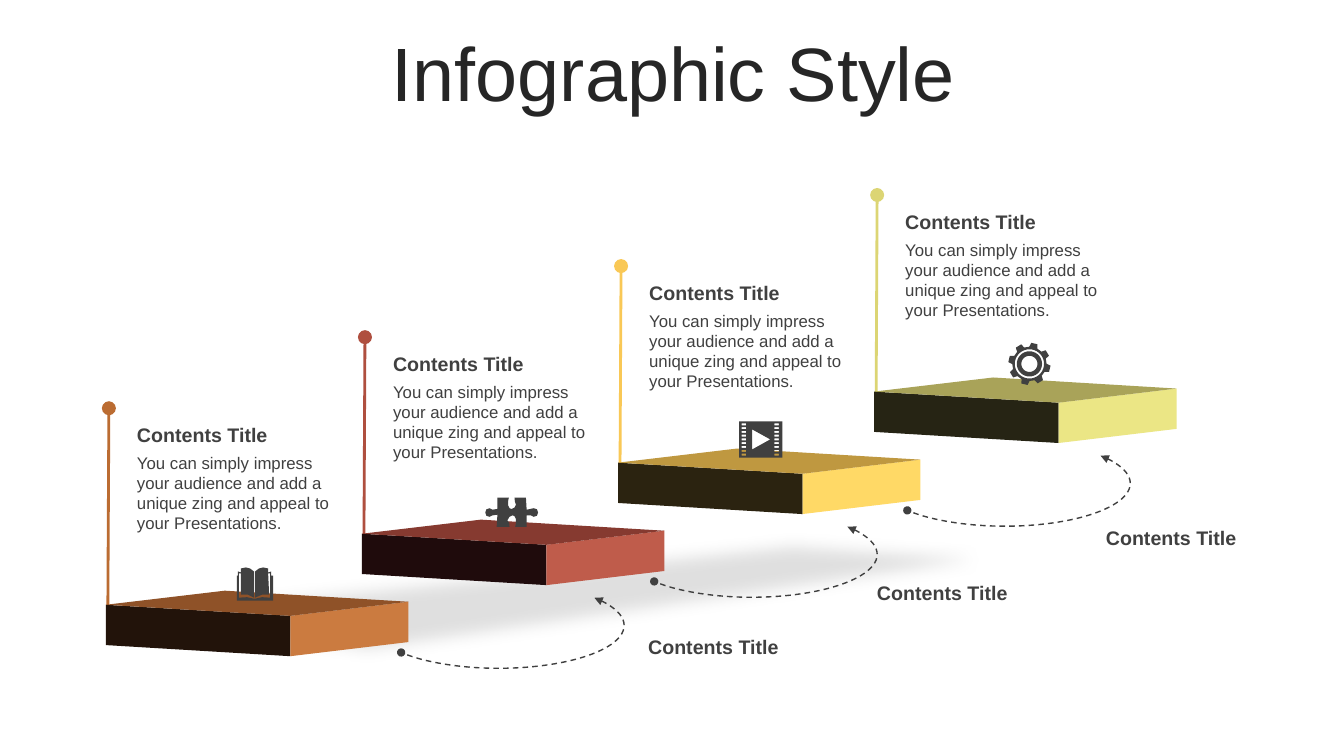
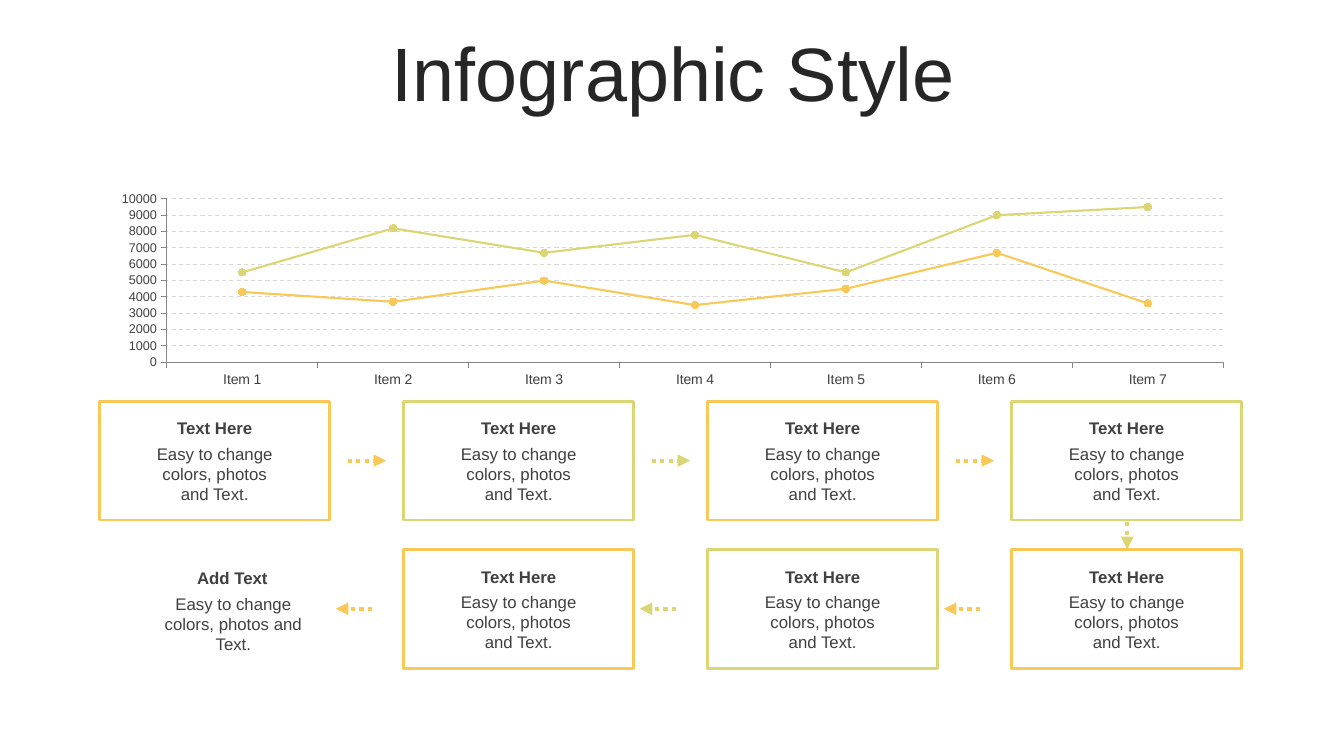
from dataclasses import dataclass
from math import cos, radians, sin

from lxml.etree import SubElement
from pptx import Presentation
from pptx.chart.data import CategoryChartData
from pptx.dml.color import RGBColor
from pptx.enum.chart import XL_CHART_TYPE as ChartType, XL_MARKER_STYLE as Marker, XL_TICK_MARK as Tick
from pptx.enum.dml import MSO_LINE as Dash
from pptx.enum.shapes import MSO_CONNECTOR as Connector, MSO_SHAPE as Shape
from pptx.enum.text import MSO_ANCHOR as Anchor, MSO_AUTO_SIZE as AutoSize, PP_ALIGN as Align
from pptx.oxml.ns import qn
from pptx.util import Inches, Pt


@dataclass(frozen=True)
class Theme:
    """Colours, type sizes and font shared by the slides."""
    font: str = "Arial"
    title: str = "262626"
    ink: str = "404040"
    orange: str = "BB6C32"
    red: str = "AF4F3F"
    yellow: str = "F9C856"
    olive: str = "DCD574"
    shade: str = "808080"
    axis: str = "868686"
    grid: str = "D9D9D9"
    title_size: float = 54
    heading_size: float = 14
    body_size: float = 12
    category_size: float = 10
    value_size: float = 9


THEME = Theme()
CONTENT = "You can simply impress your audience and add a unique zing and appeal to your Presentations."
STEP_TEXT = "Easy to change colors, photos and Text."
BOOK = [(17, 31), (18, 31), (25, 29.5), (33, 30), (33, 6), (31, 6), (32, 27), (25, 27), (18, 30),
        (18, 4), (22, 1), (26, 0), (31, 1), (31, 5), (34, 4), (34, 8), (36, 8), (36, 33), (0, 33),
        (0, 8), (1, 8), (1, 4), (4, 5), (4, 1), (9, 0), (13, 1), (17, 4), (17, 30), (11, 27),
        (4, 27), (4, 6), (2, 6), (2, 30), (10, 29.5)]
PUZZLE = [(33, 8), (34.5, 11), (33, 14), (30, 15), (27, 18), (35, 26), (27, 34), (25, 31), (22, 28),
          (19, 27), (17, 28), (16, 31), (17, 35), (20, 35.5), (23, 38), (14, 47), (6, 38), (3, 42),
          (2, 45), (-1, 46.5), (-4, 45), (-5.5, 42), (-4, 39), (-1, 38), (2, 34), (-6, 26), (2, 18),
          (4, 21), (7, 24), (10, 25), (12, 24), (13, 21), (12, 18), (9, 16.5), (6, 14), (14, 6),
          (23, 14), (25, 11), (27, 8), (30, 6.5)]


def rgb(color):
    """Return the colour object for a hex string."""
    return RGBColor.from_string(color)


def style_text(frame, text, size=THEME.body_size, color=THEME.ink, bold=False,
               align=Align.LEFT, anchor=Anchor.TOP, spacing=None):
    """Write one formatted paragraph into a text frame."""
    frame.word_wrap = True
    frame.auto_size = AutoSize.NONE
    frame.vertical_anchor = anchor
    paragraph = frame.paragraphs[0]
    paragraph.text = text
    paragraph.alignment = align
    paragraph.space_before = Pt(0)
    if spacing:
        paragraph.line_spacing = spacing
    font = paragraph.font
    font.name, font.size, font.bold = THEME.font, Pt(size), bold
    font.color.rgb = rgb(color)


def add_text(slide, box, text, **style):
    """Add a text box at left, top, width and height in inches."""
    style_text(slide.shapes.add_textbox(*map(Inches, box)).text_frame, text, **style)


def add_titled_slide(deck):
    """Add a title-only slide with the shared title."""
    slide = deck.slides.add_slide(deck.slide_layouts[5])
    title = slide.shapes.title
    title.left, title.top, title.width, title.height = map(Inches, (0.35, 0.37, 12.66, 0.79))
    style_text(title.text_frame, "Infographic Style", size=THEME.title_size, color=THEME.title,
               align=Align.CENTER, anchor=Anchor.MIDDLE, spacing=0.9)
    return slide


def style_line(line, color, width, dash=None, head=None, tail=None, size="med"):
    """Format a line and its arrowheads."""
    line.color.rgb = rgb(color)
    line.width = Pt(width)
    if dash:
        line.dash_style = dash
    outline = line._get_or_add_ln()
    for tag, kind in (("a:headEnd", head), ("a:tailEnd", tail)):
        if kind:
            SubElement(outline, qn(tag), type=kind, w=size, len=size)


def add_line(slide, start, end, color, width, **style):
    """Connect two points given in inches."""
    connector = slide.shapes.add_connector(Connector.STRAIGHT, *map(Inches, (*start, *end)))
    style_line(connector.line, color, width, **style)
    SubElement(connector._element.spPr, qn("a:effectLst"))


def add_outline(slide, origin, contours, color, unit=1.0):
    """Fill closed contours whose points are counted in units from the origin."""
    placed = [[tuple(Inches(base + value * unit) for base, value in zip(origin, point))
               for point in contour] for contour in contours]
    builder = slide.shapes.build_freeform(*placed[0][0], scale=1.0)
    for index, contour in enumerate(placed):
        if index:
            builder.move_to(*contour[0])
        builder.add_line_segments(contour[1:], close=True)
    outline = builder.convert_to_shape()
    outline.fill.solid()
    outline.fill.fore_color.rgb = rgb(color)
    outline.line.fill.background()
    outline.shadow.inherit = False
    return outline


def polar(radius, degrees):
    """Return the point at a radius and angle."""
    return radius * cos(radians(degrees)), radius * sin(radians(degrees))


def rectangle(left, top, width, height):
    """Return the corners of a rectangle."""
    return [(left, top), (left + width, top), (left + width, top + height), (left, top + height)]


def add_book(slide, left, top):
    """Draw the open book icon."""
    add_outline(slide, (left, top), [BOOK], THEME.ink, unit=0.01)


def add_puzzle(slide, left, top):
    """Draw the tilted puzzle piece icon."""
    add_outline(slide, (left, top), [PUZZLE], THEME.ink, unit=0.01).rotation = 45


def add_film(slide, left, top):
    """Draw the film frame icon with its perforations."""
    holes = [rectangle(x, 0.02 + row * 0.0375, 0.045, 0.02) for x in (0.025, 0.35) for row in range(9)]
    play = [(0.13, 0.08), (0.13, 0.28), (0.31, 0.18)]
    add_outline(slide, (left, top), [rectangle(0, 0, 0.43, 0.36), play, *holes], THEME.ink)


def add_gear(slide, left, top):
    """Draw the eight-toothed gear icon."""
    corners = ((0.17, -14), (0.21, -8.5), (0.21, 8.5), (0.17, 14))
    teeth = [polar(radius, tooth * 45 - 76.5 + turn) for tooth in range(8) for radius, turn in corners]
    rings = [[polar(radius, angle) for angle in range(0, 360, 10)] for radius in (0.145, 0.125, 0.08)]
    add_outline(slide, (left + 0.21, top + 0.21), [teeth, *rings], THEME.ink)


def add_ground_shadow(slide):
    """Draw the soft shadow under the stairs."""
    points = [(0.31, 6.05), (3.46, 6.57), (3.66, 6.61), (3.72, 6.58), (11.21, 5.49), (7.81, 5.26)]
    ground = add_outline(slide, (0, 0), [points], THEME.shade)
    color = ground._element.spPr.find(qn("a:solidFill"))[0]
    SubElement(color, qn("a:alpha"), val="25000")
    effects = ground._element.spPr.find(qn("a:effectLst"))
    SubElement(effects, qn("a:softEdge"), rad=str(Pt(12)))


def add_stair(slide, left, top, pin_color, faces):
    """Draw a slab with its pin and text, from the slab's left corner."""
    corner, back, right, front = (0, 0), (1.18, -0.14), (3, -0.03), (1.83, 0.11)
    add_line(slide, (left + 0.02, top + 0.02), (left + 0.03, top - 1.95), pin_color, 2,
             tail="oval", size="lg")
    for (start, end), color in zip(((corner, front), (front, right)), faces[1:]):
        side = [start, end, (end[0], end[1] + 0.4), (start[0], start[1] + 0.4)]
        add_outline(slide, (left, top), [side], color)
    add_outline(slide, (left, top), [[corner, back, right, front]], faces[0])
    add_text(slide, (left + 0.21, top - 1.56, 2.19, 0.91), CONTENT)
    add_text(slide, (left + 0.21, top - 1.85, 2.19, 0.34), "Contents Title",
             size=THEME.heading_size, bold=True)


def add_loop(slide, left, top):
    """Draw the dashed arrow leading up to the next stair."""
    loop = slide.shapes.add_shape(Shape.ARC, *map(Inches, (left, top, 2.49, 0.85)))
    loop.adjustments[0], loop.adjustments[1] = 206.33, 98.7
    loop.fill.background()
    loop.shadow.inherit = False
    style_line(loop.line, THEME.ink, 1, dash=Dash.DASH, head="triangle", tail="oval")


def build_stairs(deck):
    """Build the slide with four rising slabs."""
    slide = add_titled_slide(deck)
    add_ground_shadow(slide)
    stairs = [(THEME.orange, ("8F5228", "22130A", "CB7B40")),
              (THEME.red, ("863A30", "1F0B0C", "BF5C4B")),
              (THEME.yellow, ("BF9840", "2B2310", "FFD966")),
              (THEME.olive, ("A9A359", "262414", "EBE685"))]
    for index, (pin_color, faces) in enumerate(stairs):
        add_stair(slide, 1.05 + index * 2.54, 6 - index * 0.705, pin_color, faces)
    for index in range(3):
        add_loop(slide, 3.7 + index * 2.51, 5.78 - index * 0.705)
        add_text(slide, (6.33 + index * 2.27, 6.25 - index * 0.54, 1.5, 0.34), "Contents Title",
                 size=THEME.heading_size, bold=True)
    add_book(slide, 2.35, 5.63)
    add_puzzle(slide, 4.93, 4.82)
    add_film(slide, 7.33, 4.18)
    add_gear(slide, 10, 3.4)


def add_trend_chart(slide, box):
    """Add the line chart of two series over seven items."""
    data = CategoryChartData()
    data.categories = [f"Item {number}" for number in range(1, 8)]
    data.add_series("Series 1", (4300, 3700, 5000, 3500, 4500, 6700, 3600))
    data.add_series("Series 2", (5500, 8200, 6700, 7800, 5500, 9000, 9500))
    chart = slide.shapes.add_chart(ChartType.LINE_MARKERS, *map(Inches, box), data).chart
    chart.has_legend = chart.has_title = False
    chart.font.name = THEME.font
    chart.plots[0].vary_by_categories = False
    for series, color in zip(chart.plots[0].series, (THEME.yellow, THEME.olive)):
        series.smooth = False
        style_line(series.format.line, color, 1.5)
        series.marker.style, series.marker.size = Marker.CIRCLE, 5
        series.marker.format.fill.solid()
        series.marker.format.fill.fore_color.rgb = rgb(color)
        series.marker.format.line.color.rgb = rgb(color)
    for axis, size in ((chart.category_axis, THEME.category_size), (chart.value_axis, THEME.value_size)):
        axis.major_tick_mark, axis.minor_tick_mark = Tick.OUTSIDE, Tick.NONE
        style_line(axis.format.line, THEME.axis, 0.75)
        font = axis.tick_labels.font
        font.name, font.size = THEME.font, Pt(size)
        font.color.rgb = rgb(THEME.ink)
    values = chart.value_axis
    values.minimum_scale, values.maximum_scale, values.major_unit = 0, 10000, 1000
    values.has_major_gridlines = True
    style_line(values.major_gridlines.format.line, THEME.grid, 0.75, dash=Dash.DASH)


def add_step(slide, left, top, color):
    """Add a framed step with heading and text."""
    frame = slide.shapes.add_shape(Shape.RECTANGLE, *map(Inches, (left, top, 2.28, 1.18)))
    frame.fill.background()
    frame.shadow.inherit = False
    style_line(frame.line, color, 2)
    add_text(slide, (left + 0.39, top + 0.37, 1.5, 0.71), STEP_TEXT, align=Align.CENTER)
    add_text(slide, (left + 0.39, top + 0.12, 1.5, 0.3), "Text Here", bold=True, align=Align.CENTER)


def build_process(deck):
    """Build the slide with the chart and the two rows of steps."""
    slide = add_titled_slide(deck)
    add_trend_chart(slide, (0.98, 1.86, 11.38, 2.03))
    upper, lower, middle = 3.98, 5.45, 0.59
    columns = [0.99 + index * 3.015 for index in range(4)]
    colors = (THEME.yellow, THEME.olive) * 2
    for index, (left, color) in enumerate(zip(columns, colors)):
        add_step(slide, left, upper, color)
        if index:
            add_step(slide, left, lower, colors[index - 1])
    arrows = []
    for left, color in zip(columns, colors[:3]):
        arrows.append(((left + 2.46, upper + middle), (left + 2.84, upper + middle), color))
        arrows.append(((left + 2.7, lower + middle), (left + 2.34, lower + middle), color))
    arrows.append(((11.18, upper + 1.2), (11.18, lower), THEME.olive))
    for start, end, color in arrows:
        add_line(slide, start, end, color, 3, dash=Dash.ROUND_DOT, tail="triangle")
    add_text(slide, (1.41, 5.84, 1.81, 0.69), STEP_TEXT, align=Align.CENTER)
    add_text(slide, (1.4, 5.58, 1.81, 0.33), "Add Text", bold=True, align=Align.CENTER)


def main():
    """Build and save the deck."""
    deck = Presentation()
    deck.slide_width, deck.slide_height = Inches(13.33), Inches(7.5)
    build_stairs(deck)
    build_process(deck)
    deck.save("out.pptx")


if __name__ == "__main__":
    main()
